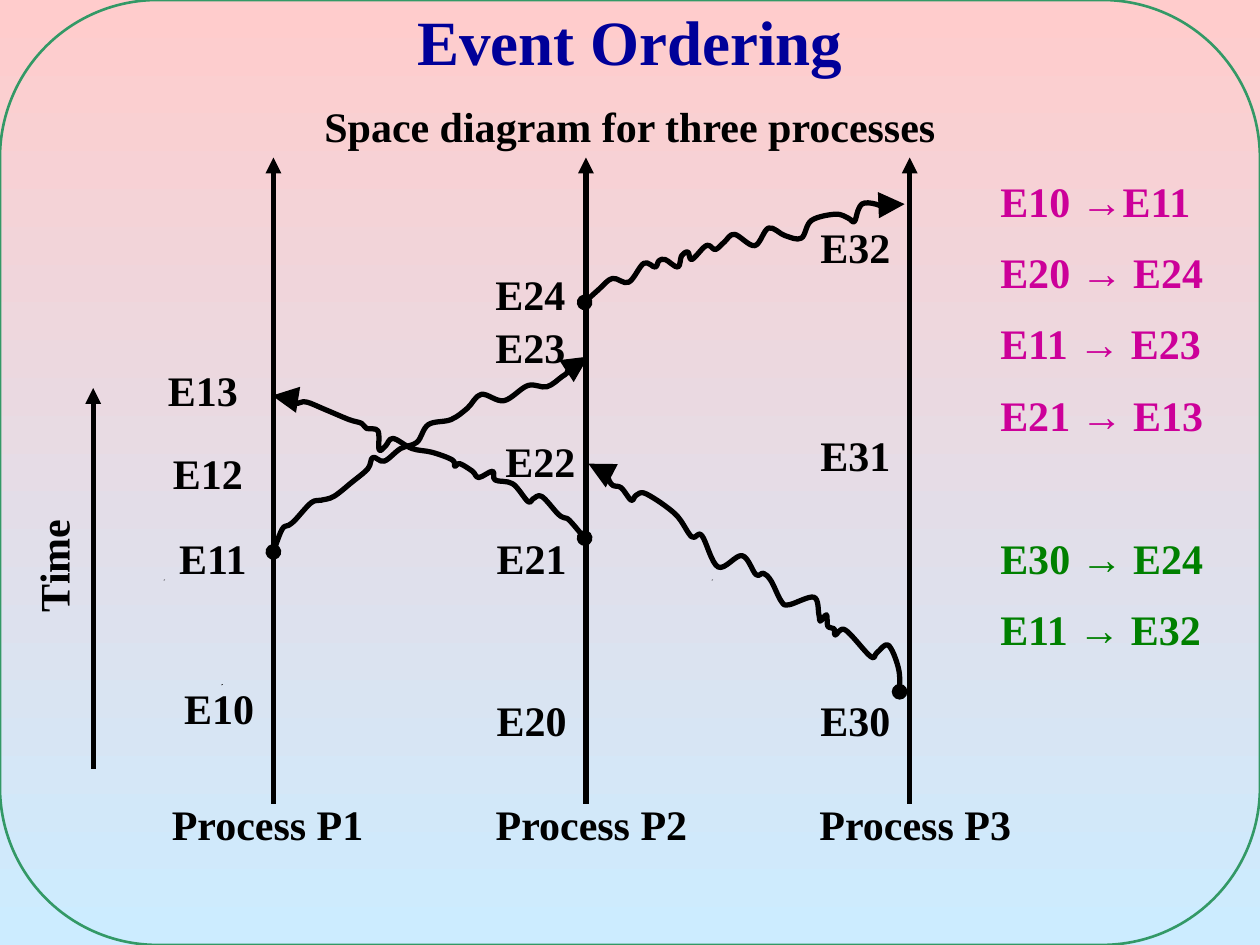
from pptx import Presentation
from pptx.dml.color import RGBColor
from pptx.enum.shapes import MSO_CONNECTOR, MSO_SHAPE
from pptx.enum.text import MSO_ANCHOR, PP_ALIGN
from pptx.oxml.ns import qn
from pptx.util import Inches, Pt
from lxml.etree import SubElement

HUES = {"ink": "000000", "title": "000099", "pink": "CC0099", "green": "008000",
        "frame": "339966", "top": "FFCCCC", "base": "CCECFF"}
SPECKS = [(1.76, 5.43), (1.3, 4.6), (5.65, 4.6)]
LANES = [("P1", 2.17, 2.12), ("P2", 4.65, 4.69), ("P3", 7.22, 7.26)]
EVENTS = [("E13", 1.61, 2.84), ("E12", 1.65, 3.5), ("E11", 1.69, 4.18), ("E10", 1.74, 5.37),
          ("E24", 4.21, 2.08), ("E23", 4.21, 2.5), ("E22", 4.29, 3.41), ("E21", 4.22, 4.18),
          ("E20", 4.22, 5.46), ("E32", 6.79, 1.71), ("E31", 6.79, 3.36), ("E30", 6.79, 5.46)]
WAVES = [
    [(4.64, 4.27), (4.52, 4.13), (4.48, 4.11), (4.43, 4.08), (4.3, 3.94), (4.23, 3.96),
     (4.19, 3.98), (4.07, 3.84), (3.93, 3.81), (3.91, 3.74), (3.8, 3.79), (3.75, 3.74),
     (3.65, 3.68), (3.61, 3.7), (3.59, 3.65), (3.43, 3.59), (3.27, 3.56), (3.12, 3.48),
     (3.06, 3.54), (3.01, 3.57), (3, 3.42), (2.91, 3.4), (2.87, 3.36), (2.77, 3.33),
     (2.58, 3.25), (2.43, 3.19), (2.35, 3.2), (2.33, 3.14), (2.29, 3.12), (2.16, 3.14)],
    [(2.17, 4.38), (2.24, 4.2), (2.29, 4.17), (2.34, 4.13), (2.47, 3.99), (2.55, 3.97),
     (2.65, 3.94), (2.79, 3.83), (2.92, 3.72), (2.96, 3.63), (3.05, 3.66), (3.18, 3.56),
     (3.31, 3.51), (3.4, 3.37), (3.58, 3.33), (3.71, 3.24), (3.82, 3.13), (4, 3.18),
     (4.19, 3.06), (4.34, 3.07), (4.46, 2.99), (4.5, 2.96), (4.52, 2.92), (4.6, 2.9),
     (4.65, 2.87), (4.67, 2.83)],
    [(4.64, 2.4), (4.75, 2.3), (4.86, 2.21), (4.99, 2.24), (5.11, 2.09), (5.2, 2.12),
     (5.23, 2.07), (5.28, 2.06), (5.38, 2.12), (5.41, 2.03), (5.46, 2), (5.49, 2.06),
     (5.59, 1.96), (5.63, 1.95), (5.68, 1.98), (5.75, 1.92), (5.83, 1.86), (5.99, 1.95),
     (6.1, 1.81), (6.23, 1.87), (6.36, 1.89), (6.44, 1.75), (6.63, 1.7), (6.73, 1.73),
     (6.78, 1.76), (6.81, 1.67), (6.84, 1.62), (6.89, 1.61), (6.95, 1.62), (7.03, 1.64),
     (7.18, 1.62)],
    [(7.14, 5.49), (7.13, 5.3), (7.05, 5.12), (6.96, 5.18), (6.91, 5.21), (6.71, 5),
     (6.63, 5.04), (6.62, 4.99), (6.57, 4.97), (6.56, 4.88), (6.51, 4.93), (6.5, 4.88),
     (6.46, 4.74), (6.26, 4.8), (6.2, 4.77), (6.12, 4.61), (6.06, 4.55), (6, 4.56),
     (5.89, 4.41), (5.7, 4.5), (5.57, 4.25), (5.49, 4.26), (5.36, 4.08), (5.13, 3.92),
     (5.05, 3.93), (5.01, 3.97), (4.93, 3.87), (4.85, 3.84), (4.79, 3.68), (4.74, 3.67),
     (4.67, 3.68)],
]
RULES = [("E10 →E11", "pink", 0), ("E20 → E24", "pink", 12), ("E11 → E23", "pink", 12),
         ("E21 → E13", "pink", 12), ("E30 → E24", "green", 53), ("E11 → E32", "green", 12)]


def tint(name):
    return RGBColor.from_string(HUES[name])


def fill(para, text, size=24, hue="ink", align=PP_ALIGN.CENTER, gap=0):
    para.alignment = align
    para.space_before = Pt(gap)
    run = para.add_run()
    run.text = text
    run.font.name = "Times New Roman"
    run.font.size = Pt(size)
    run.font.bold = True
    run.font.color.rgb = tint(hue)


def frame(slide, box, wrap=True, anchor=MSO_ANCHOR.TOP, turn=0):
    area = slide.shapes.add_textbox(*map(Inches, box))
    area.rotation = turn
    area.text_frame.word_wrap = wrap
    area.text_frame.vertical_anchor = anchor
    return area.text_frame


def write(slide, box, text, wrap=True, anchor=MSO_ANCHOR.TOP, turn=0, **style):
    fill(frame(slide, box, wrap, anchor, turn).paragraphs[0], text, **style)


def stroke(line, size="med", **ends):
    line.color.rgb = tint("ink")
    line.width = Pt(3)
    root = line._get_or_add_ln()
    for end, kind in ends.items():
        span = size if kind == "triangle" else "med"
        SubElement(root, qn("a:" + end), type=kind, w=span, len=span)


def arrow(slide, x, low, high):
    link = slide.shapes.add_connector(MSO_CONNECTOR.STRAIGHT, *map(Inches, (x, low, x, high)))
    stroke(link.line, tailEnd="triangle")
    SubElement(link._element.spPr, qn("a:effectLst"))


def trace(slide, points, close=False):
    path = [(Inches(x), Inches(y)) for x, y in points]
    maker = slide.shapes.build_freeform(*path[0])
    maker.add_line_segments(path[1:], close=close)
    shape = maker.convert_to_shape()
    shape.shadow.inherit = False
    return shape


def bend(shape):
    track = next(shape._element.iter(qn("a:path")))
    spots = [(int(pt.get("x")), int(pt.get("y"))) for pt in track.iter(qn("a:pt"))]
    ends = [spots[0], *spots, spots[-1]]
    for leg in track.findall(qn("a:lnTo")):
        track.remove(leg)
    for a, b, c, d in zip(ends, ends[1:], ends[2:], ends[3:]):
        leg = SubElement(track, qn("a:cubicBezTo"))
        near = [q + (r - p) / 6 for p, q, r in zip(a, b, c)]
        far = [q - (r - p) / 6 for p, q, r in zip(b, c, d)]
        for x, y in (near, far, c):
            SubElement(leg, qn("a:pt"), x=str(round(x)), y=str(round(y)))


def wave(slide, left, top, points):
    shape = trace(slide, [(left + x, top + y) for x, y in points])
    bend(shape)
    shape.fill.background()
    stroke(shape.line, size="lg", headEnd="oval", tailEnd="triangle")


def back(slide, box):
    left, top = box[:2]
    paint = slide.background.fill
    paint.gradient()
    paint.gradient_angle = 270
    for stop, name, spot in zip(paint.gradient_stops, ("top", "base"), (0, 1)):
        stop.color.rgb = tint(name)
        stop.position = spot
    for x, y in SPECKS:
        x, y = left + x, top + y
        speck = trace(slide, [(x, y), (x + 0.01, y), (x, y + 0.01)], close=True)
        speck.fill.solid()
        speck.fill.fore_color.rgb = tint("ink")
        speck.line.fill.background()
    edge = slide.shapes.add_shape(MSO_SHAPE.ROUNDED_RECTANGLE, *map(Inches, box))
    edge.adjustments[0] = 0.167
    edge.shadow.inherit = False
    edge.fill.background()
    edge.line.color.rgb = tint("frame")
    edge.line.width = Pt(1.5)


def heads(slide, box):
    left, top, wide, _ = box
    write(slide, (left + 0.25, top + 0.75, wide - 0.5, 6.75), "Space diagram for three processes")
    write(slide, (left, top, wide, 0.67), "Event Ordering", size=36, hue="title",
          anchor=MSO_ANCHOR.BOTTOM)


def chart(slide, box):
    left, top = box[:2]
    for name, x, mid in LANES:
        arrow(slide, left + x, top + 6.38, top + 1.25)
        write(slide, (left + mid - 0.86, top + 6.29, 1.73, 0.5), "Process " + name, wrap=False)
    arrow(slide, left + 0.74, top + 6.1, top + 3.08)
    write(slide, (left - 0.31, top + 4.24, 1.46, 0.5), "Time", turn=270)
    for points in WAVES:
        wave(slide, left, top, points)
    for name, mid, y in EVENTS:
        write(slide, (left + mid - 0.38, top + y, 0.76, 0.5), name, wrap=False)


def rules(slide, box):
    body = frame(slide, box)
    for at, (text, hue, gap) in enumerate(RULES):
        para = body.add_paragraph() if at else body.paragraphs[0]
        fill(para, text, hue=hue, gap=gap, align=PP_ALIGN.LEFT)


deck = Presentation()
deck.slide_width, deck.slide_height = Inches(10), Inches(7.5)
page = deck.slides.add_slide(deck.slide_layouts[6])
full = (0, 0, 10, 7.5)
back(page, full)
heads(page, full)
chart(page, full)
rules(page, (7.84, 1.34, 1.92, 4.69))
deck.save("out.pptx")
